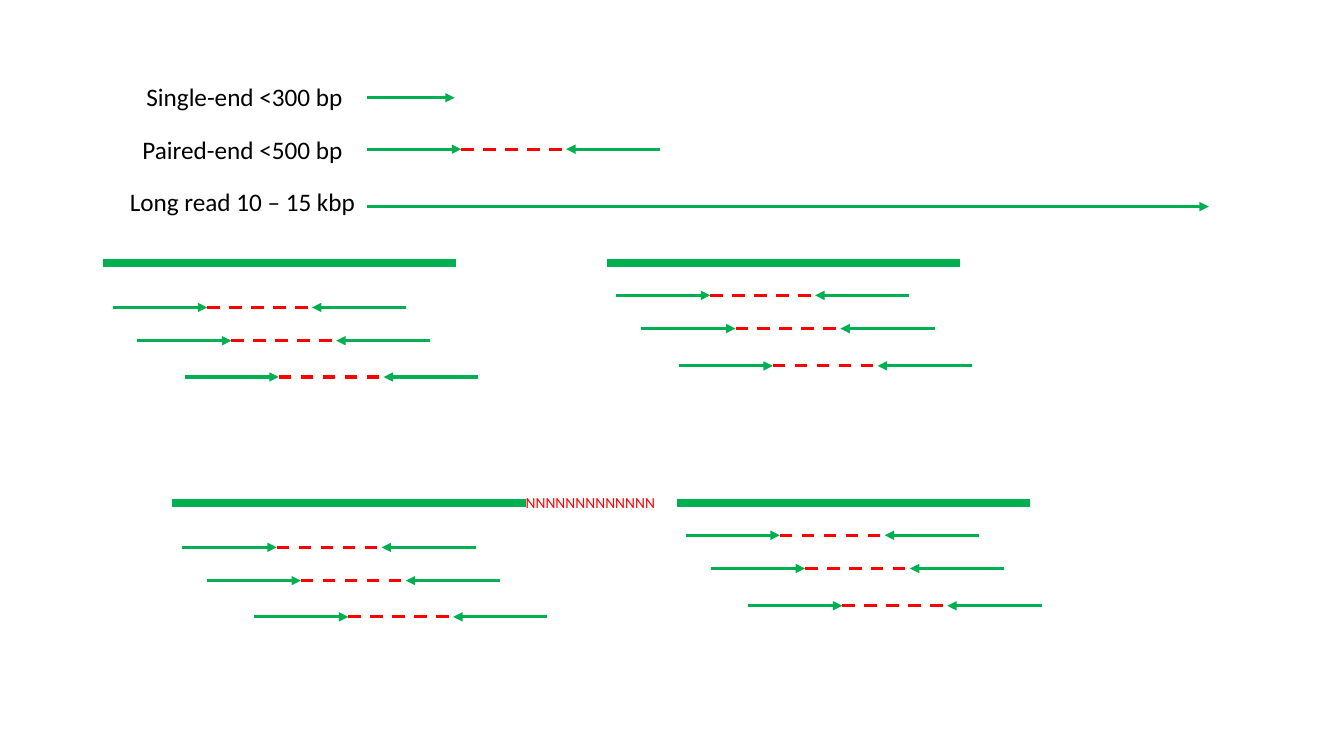
import pptx
import pptx.util
from pptx.dml.color import RGBColor
from pptx.enum.dml import MSO_LINE
from pptx.enum.shapes import MSO_CONNECTOR
from pptx.enum.text import MSO_AUTO_SIZE, PP_ALIGN
from pptx.oxml.ns import qn
from lxml import etree

Inches = pptx.util.Inches
COLORS = {"read": "00B050", "gap": "FF0000", "text": "000000"}
FONT = "Calibri"
READ_W, INSERT_W = 0.935, 1.04
CONTIG_W = 3.505
SCAFFOLD_STEP = 5.0
# Offsets of the read pairs from the left end of their contig
LEFT_PAIRS = [(0.1, 0.44), (0.34, 0.77), (0.81, 1.13)]
RIGHT_PAIRS = [(0.09, 0.32), (0.34, 0.65), (0.71, 1.02)]


def add_line(s, x, y, width, color="read", weight=2.25, dash=False, arrow=None):
    """Horizontal line; arrow is None, "headEnd" (left) or "tailEnd" (right)."""
    c = s.shapes.add_connector(MSO_CONNECTOR.STRAIGHT, Inches(x), Inches(y),
                               Inches(x + width), Inches(y))
    c.line.color.rgb = RGBColor.from_string(COLORS[color])
    c.line.width = pptx.util.Pt(weight)
    if dash:
        c.line.dash_style = MSO_LINE.DASH
    if arrow:
        etree.SubElement(c.line._get_or_add_ln(), qn("a:" + arrow), type="triangle")
    etree.SubElement(c._element.spPr, qn("a:effectLst"))


def add_text(s, text, box, size, color, align):
    tb = s.shapes.add_textbox(*(Inches(v) for v in box))
    tf = tb.text_frame
    tf.word_wrap = False
    tf.auto_size = MSO_AUTO_SIZE.SHAPE_TO_FIT_TEXT
    p = tf.paragraphs[0]
    p.alignment = align
    r = p.add_run()
    r.text = text
    for name, value in {"name": FONT, "size": pptx.util.Pt(size)}.items():
        setattr(r.font, name, value)
    r.font.color.rgb = RGBColor.from_string(COLORS[color])


def add_read_pair(s, x, y):
    add_line(s, x, y, READ_W, arrow="tailEnd")
    add_line(s, x + READ_W, y, INSERT_W, color="gap", dash=True)
    add_line(s, x + READ_W + INSERT_W, y, READ_W, arrow="headEnd")


def add_legend(s, x, y):
    """Read types, with the lines starting at x and the first label at y."""
    labels = [("Single-end <300 bp", 2.3, 2.17),
              ("Paired-end <500 bp", 2.34, 2.21),
              ("Long read 10 – 15 kbp", 2.47, 2.47)]
    for row, (text, indent, width) in enumerate(labels):
        add_text(s, text, (x - indent, y + row * 0.52, width, 0.4),
                 18, "text", PP_ALIGN.CENTER)
    add_line(s, x, y + 0.21, 0.87, arrow="tailEnd")
    add_read_pair(s, x, y + 0.72)
    add_line(s, x, y + 1.29, 8.35, arrow="tailEnd")


def add_contigs(s, x, y, joint=None):
    """Two contigs with their read pairs, the gap filled by the joint text."""
    for left, pairs in ((x, LEFT_PAIRS), (x + SCAFFOLD_STEP, RIGHT_PAIRS)):
        add_line(s, left, y, CONTIG_W, weight=6)
        for dx, dy in pairs:
            add_read_pair(s, left + dx, y + dy)
    if joint:
        add_text(s, joint, (x + CONTIG_W - 0.1, y - 0.15, 1.5, 0.29),
                 11, "gap", PP_ALIGN.LEFT)


def main():
    prs = pptx.Presentation()
    prs.slide_width, prs.slide_height = Inches(13.33), Inches(7.5)
    s = prs.slides.add_slide(prs.slide_layouts[6])
    add_legend(s, 3.64, 0.76)
    add_contigs(s, 1.02, 2.61)
    add_contigs(s, 1.71, 4.99, joint="N" * 13)
    prs.save("out.pptx")


if __name__ == "__main__":
    main()
